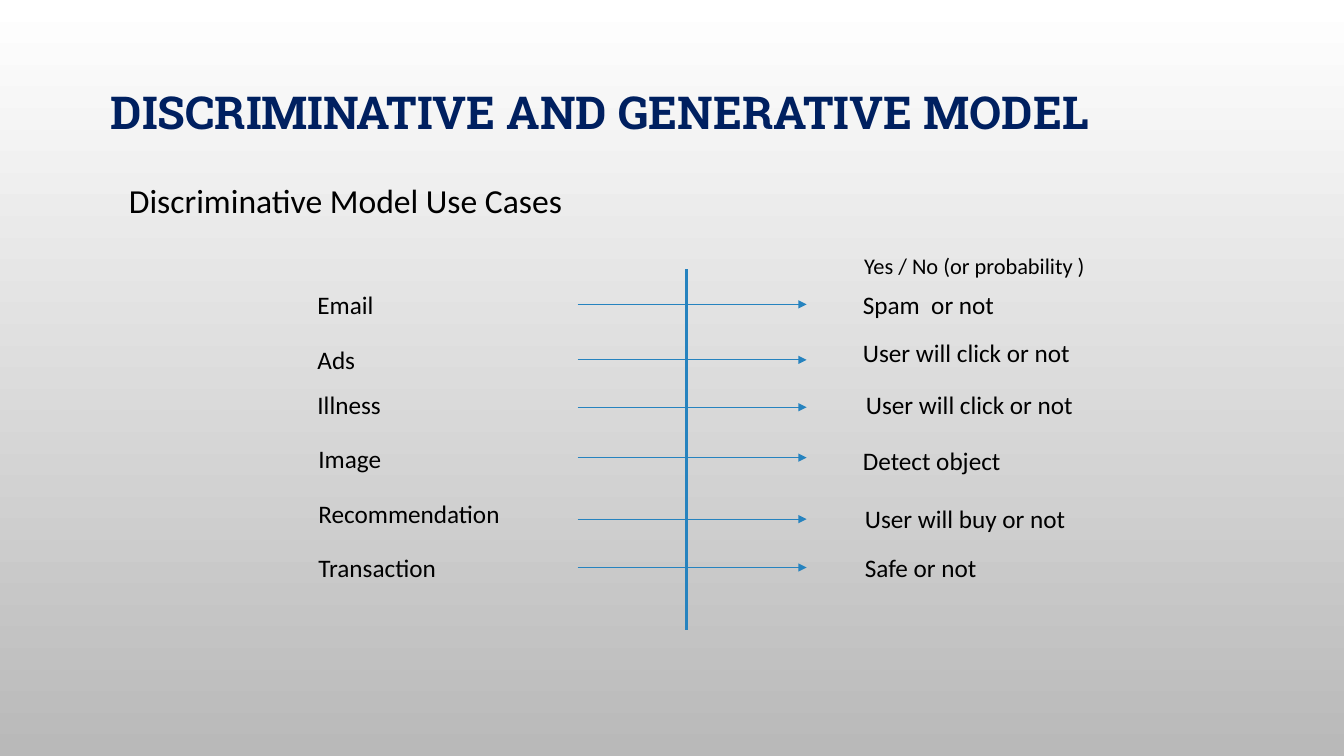
from lxml import etree
from pptx import Presentation
from pptx.dml.color import RGBColor
from pptx.enum.shapes import MSO_CONNECTOR
from pptx.enum.text import MSO_ANCHOR, MSO_AUTO_SIZE, PP_ALIGN
from pptx.oxml.ns import qn
from pptx.util import Inches, Pt

STRAIGHT = MSO_CONNECTOR.STRAIGHT
MIDDLE = MSO_ANCHOR.MIDDLE
NO_AUTOFIT = MSO_AUTO_SIZE.NONE
GROW = MSO_AUTO_SIZE.SHAPE_TO_FIT_TEXT
LEFT, CENTER = PP_ALIGN.LEFT, PP_ALIGN.CENTER

COLORS = {
    "title": "002060",
    "text": "000000",
    "line": "2683BF",
    "background_top": "FFFFFF",
    "background_bottom": "B9B9B9",
}
TITLE_FONT, BODY_FONT = "Roboto Slab", "Calibri"
TITLE_ONLY_LAYOUT = 5
ARROW_START, ARROW_END = 5.73, 8
LABEL_HEIGHT = 0.4

# input, left, top, arrow height, output, left, top
USE_CASES = [
    ("Email", 3.05, 2.82, 3.02, "Spam  or not", 8.46, 2.82),
    ("Ads", 3.05, 3.37, 3.57, "User will click or not", 8.46, 3.3),
    ("Illness", 3.05, 3.81, 4.04, "User will click or not", 8.49, 3.81),
    ("Image", 3.06, 4.35, 4.54, "Detect object", 8.46, 4.37),
    ("Recommendation", 3.06, 4.89, 5.15, "User will buy or not", 8.48, 4.94),
    ("Transaction", 3.06, 5.43, 5.63, "Safe or not", 8.48, 5.43),
]


def color(name):
    return RGBColor.from_string(COLORS[name])


def write_text(shape, text, size=18, font=BODY_FONT, color_name="text",
               bold=False, align=LEFT):
    frame = shape.text_frame
    frame.word_wrap = True
    frame.text = text
    paragraph = frame.paragraphs[0]
    paragraph.alignment = align
    paragraph.font.name = font
    paragraph.font.size = Pt(size)
    paragraph.font.bold = bold
    paragraph.font.color.rgb = color(color_name)
    return paragraph


def add_label(slide, text, left, top, width, height=LABEL_HEIGHT, **text_format):
    box = slide.shapes.add_textbox(
        Inches(left), Inches(top), Inches(width), Inches(height))
    write_text(box, text, **text_format)
    box.text_frame.auto_size = GROW


def add_line(slide, start, end, width, arrow=False):
    connector = slide.shapes.add_connector(
        STRAIGHT, *(Inches(value) for value in (*start, *end)))
    connector.line.color.rgb = color("line")
    connector.line.width = Pt(width)
    if arrow:
        line = connector.line._get_or_add_ln()
        etree.SubElement(line, qn("a:tailEnd"), type="triangle")
    etree.SubElement(connector._element.spPr, qn("a:effectLst"))


def set_background(slide):
    fill = slide.background.fill
    fill.gradient()
    fill.gradient_angle = 270
    names = ("background_top", "background_bottom")
    for stop, position, name in zip(fill.gradient_stops, (0, 1), names):
        stop.position = position
        stop.color.rgb = color(name)


def set_title(slide, text):
    title = slide.shapes.title
    title.left, title.top = Inches(1), Inches(0.68)
    title.width, title.height = Inches(11.33), Inches(0.92)
    paragraph = write_text(title, text, size=32.4, font=TITLE_FONT,
                           color_name="title", bold=True)
    paragraph.line_spacing = 0.9
    title.text_frame.vertical_anchor = MIDDLE
    title.text_frame.auto_size = NO_AUTOFIT


def main():
    presentation = Presentation()
    presentation.slide_width = Inches(13.33)
    presentation.slide_height = Inches(7.5)
    slide = presentation.slides.add_slide(
        presentation.slide_layouts[TITLE_ONLY_LAYOUT])

    set_background(slide)
    set_title(slide, "DISCRIMINATIVE AND GENERATIVE MODEL")
    add_label(slide, "Discriminative Model Use Cases", 1.18, 1.74, 10.89, 0.5,
              size=24)
    add_line(slide, (6.81, 2.67), (6.81, 6.25), 2)
    add_label(slide, "Yes / No (or probability )", 8.42, 2.45, 2.49, 0.37,
              size=16, align=CENTER)

    for (source, source_left, source_top, arrow_y,
         result, result_left, result_top) in USE_CASES:
        add_label(slide, source, source_left, source_top, 2.18)
        add_line(slide, (ARROW_START, arrow_y), (ARROW_END, arrow_y), 0.75,
                 arrow=True)
        add_label(slide, result, result_left, result_top, 2.49)

    presentation.save("out.pptx")


if __name__ == "__main__":
    main()
